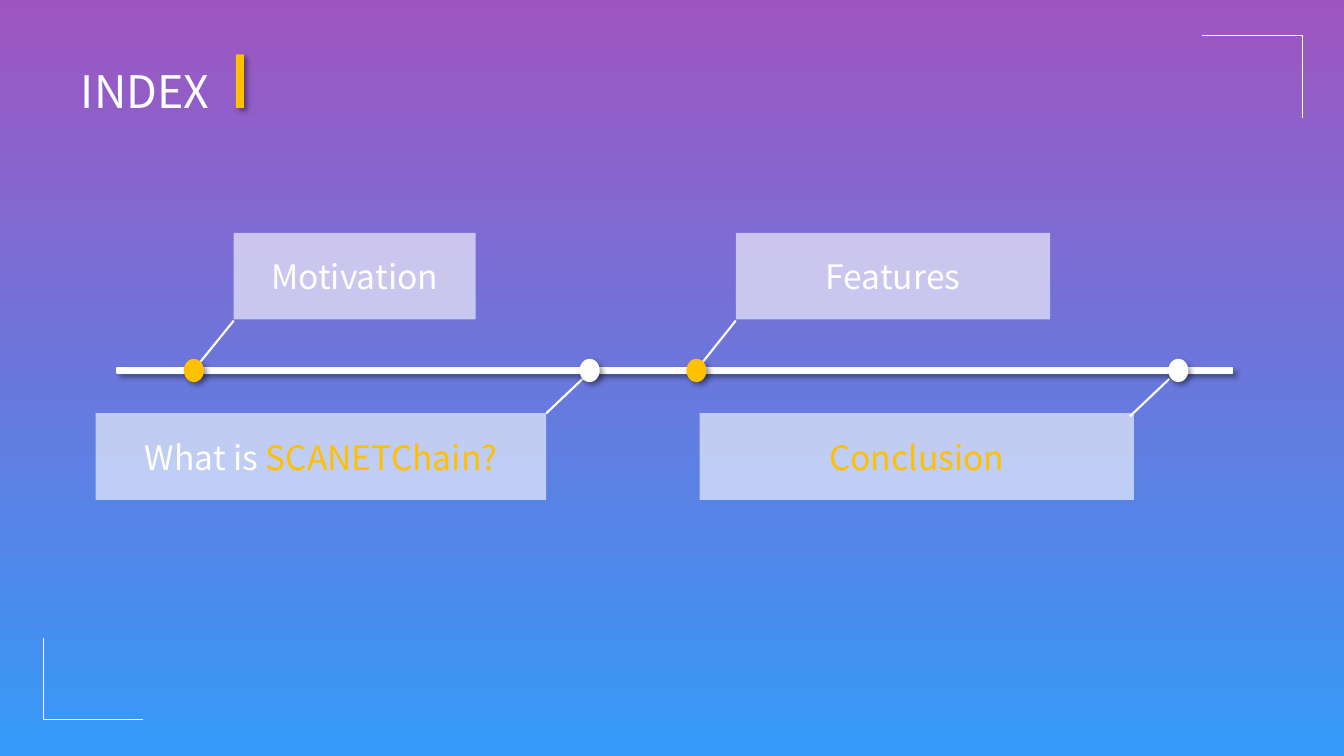
from lxml import etree
from pptx import Presentation
from pptx import util as u
from pptx.dml import color
from pptx.enum import shapes, text
from pptx.oxml import ns

Pt = u.Pt
FONT = "Noto Sans CJK KR"
COLORS = {
    "white": "FFFFFF",
    "gold": "FFC000",
    "shadow": "000000",
    "top": "9F55C1",
    "bottom": "359AF8",
}
CARD_HEIGHT = 61.9
DOT_WIDTH, DOT_HEIGHT = 14.4, 16.6
UPPER, LOWER = 166.3, 295.2
AXIS = (83.5, 262.8, 797, 3.6)

STOPS = [
    (138.5, "gold", (167, UPPER, 172.8), [("Motivation", "white")],
     (138.5, 264.2), (167, 229)),
    (421.2, "white", (68.4, LOWER, 321.8),
     [("What is ", "white"), ("SCANETChain?", "gold")],
     (390.2, 295.2), (417.6, 269.3)),
    (497.5, "gold", (525.6, UPPER, 224.6), [("Features", "white")],
     (497.5, 264.2), (525.6, 229)),
    (841.7, "white", (499.7, LOWER, 310.3), [("Conclusion", "gold")],
     (807.1, 297.4), (835.2, 270.7)),
]


def rgb(name):
    return color.RGBColor.from_string(COLORS[name])


def add_line(slide, start, end, width):
    line = slide.shapes.add_connector(
        shapes.MSO_CONNECTOR.STRAIGHT, *(Pt(value) for value in start + end))
    line.line.color.rgb = rgb("white")
    line.line.width = Pt(width)
    etree.SubElement(line._element.spPr, ns.qn("a:effectLst"))


def add_block(slide, kind, box, fill):
    block = slide.shapes.add_shape(kind, *(Pt(value) for value in box))
    block.shadow.inherit = False
    block.fill.solid()
    block.fill.fore_color.rgb = rgb(fill)
    block.line.fill.background()
    return block


def cast_shadow(block):
    effects = block._element.spPr.find(ns.qn("a:effectLst"))
    shadow = etree.SubElement(
        effects, ns.qn("a:outerShdw"), blurRad=str(Pt(4)), dist=str(Pt(3)),
        dir="2700000", algn="tl", rotWithShape="0")
    tint = etree.SubElement(shadow, ns.qn("a:srgbClr"), val=COLORS["shadow"])
    etree.SubElement(tint, ns.qn("a:alpha"), val="40000")


def paint_background(slide):
    fill = slide.background.fill
    fill.gradient()
    fill.gradient_angle = 270
    for stop, name in zip(fill.gradient_stops, ("top", "bottom")):
        stop.color.rgb = rgb(name)


def add_heading(slide, left, top, width, height):
    title = slide.shapes.title
    title.left, title.top = Pt(left), Pt(top)
    title.width, title.height = Pt(width), Pt(height)
    frame = title.text_frame
    frame.text = "INDEX"
    frame.word_wrap = True
    frame.auto_size = text.MSO_AUTO_SIZE.SHAPE_TO_FIT_TEXT
    frame.vertical_anchor = text.MSO_ANCHOR.TOP
    heading = frame.paragraphs[0]
    heading.alignment = text.PP_ALIGN.CENTER
    heading.line_spacing = 1.5
    heading.font.size = Pt(32)
    heading.font.name = FONT
    heading.font.color.rgb = rgb("white")
    accent = add_block(slide, shapes.MSO_SHAPE.RECTANGLE,
                       (left + 151.2, top + 15.9, 5.8, 38.2), "gold")
    cast_shadow(accent)


def add_card(slide, left, top, width, words):
    card = add_block(slide, shapes.MSO_SHAPE.RECTANGLE,
                     (left, top, width, CARD_HEIGHT), "white")
    tint = card._element.spPr.find(".//" + ns.qn("a:srgbClr"))
    etree.SubElement(tint, ns.qn("a:alpha"), val="61000")
    card.text_frame.vertical_anchor = text.MSO_ANCHOR.MIDDLE
    label = card.text_frame.paragraphs[0]
    label.alignment = text.PP_ALIGN.CENTER
    label.font.size = Pt(24)
    label.font.name = FONT
    for wording, tone in words:
        run = label.add_run()
        run.text = wording
        run.font.color.rgb = rgb(tone)


def add_timeline(slide, left, top, width, height):
    for *_, start, end in STOPS:
        add_line(slide, start, end, 1.5)
    axis = add_block(slide, shapes.MSO_SHAPE.RECTANGLE,
                     (left, top, width, height), "white")
    axis.line.color.rgb = rgb("white")
    axis.line.width = Pt(1)
    cast_shadow(axis)
    middle = top + height / 2
    for center, tone, card, words, *_ in STOPS:
        dot = add_block(
            slide, shapes.MSO_SHAPE.OVAL,
            (center - DOT_WIDTH / 2, middle - DOT_HEIGHT / 2,
             DOT_WIDTH, DOT_HEIGHT), tone)
        cast_shadow(dot)
        add_card(slide, *card, words)


def add_corner(slide, x, y, across, down):
    add_line(slide, (x, y), (x + across, y), 0.75)
    add_line(slide, (x, y), (x, y + down), 0.75)


def main():
    deck = Presentation()
    deck.slide_width, deck.slide_height = Pt(960), Pt(540)
    slide = deck.slides.add_slide(deck.slide_layouts[5])
    paint_background(slide)
    add_heading(slide, 17.3, 23, 172.8, 58.3)
    add_timeline(slide, *AXIS)
    add_corner(slide, 930.2, 25.2, -71.5, 59)
    add_corner(slide, 30.8, 514, 71.5, -58.5)
    deck.save("out.pptx")


if __name__ == "__main__":
    main()
